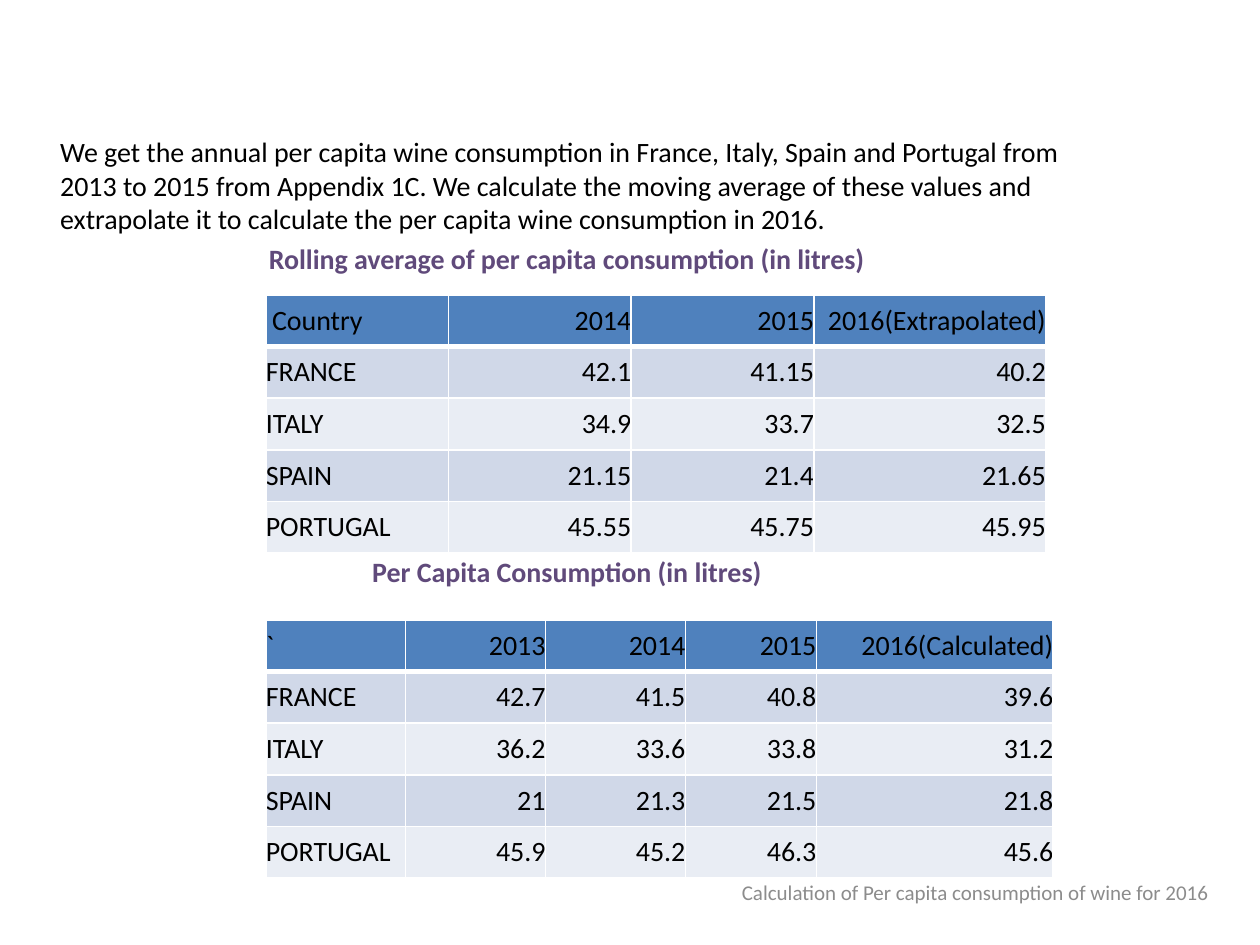
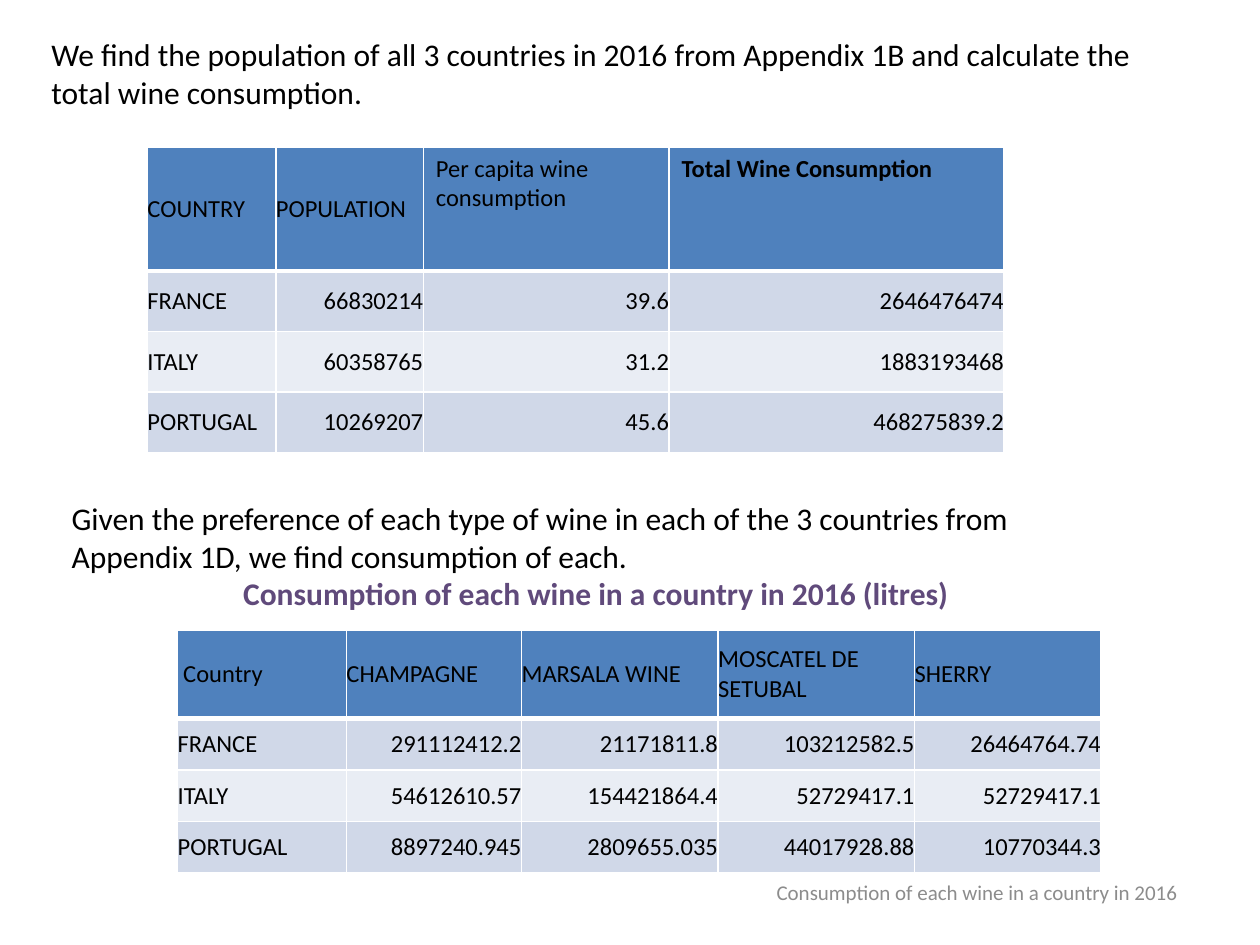
from pptx import Presentation
from pptx import util as u
from pptx.dml.color import RGBColor
from pptx.enum import text as t
from pptx.oxml import parse_xml
from pptx.oxml.ns import nsdecls

BLACK = RGBColor(0x00, 0x00, 0x00)
WHITE = RGBColor(0xFF, 0xFF, 0xFF)
GREY = RGBColor(0x8C, 0x8C, 0x8C)
PURPLE = RGBColor(0x60, 0x4A, 0x7B)
HEADER = RGBColor(0x4F, 0x81, 0xBD)
BANDS = (RGBColor(0xD0, 0xD8, 0xE8), RGBColor(0xE9, 0xED, 0xF4))
NO_INSETS = dict.fromkeys(("margin_left", "margin_top", "margin_right", "margin_bottom"), 0)


def apply(target, values):
    for name, value in values.items():
        setattr(target, name, value)


class Report:
    """Wine consumption report: shared style and the slide being filled."""

    font = "Calibri"

    def __init__(self):
        self.deck = Presentation()
        apply(self.deck, {"slide_width": u.Inches(10), "slide_height": u.Inches(7.5)})
        self.slide = None

    def new_slide(self):
        self.slide = self.deck.slides.add_slide(self.deck.slide_layouts[6])

    def fill_line(self, paragraph, wording, size, color=BLACK, bold=False,
                  align=t.PP_ALIGN.LEFT, before=0):
        apply(paragraph, {"alignment": align, "space_before": u.Pt(before)})
        run = paragraph.add_run()
        run.text = wording
        apply(run.font, {"name": self.font, "size": u.Pt(size), "bold": bold})
        run.font.color.rgb = color

    def box(self, place, **frame_format):
        frame = self.slide.shapes.add_textbox(*map(u.Inches, place)).text_frame
        apply(frame, {"word_wrap": True, **frame_format})
        return frame

    def prose(self, frame, wording, size, before=0, indent=0):
        paragraph = frame.paragraphs[0]
        self.fill_line(paragraph, wording, size, before=before)
        if indent:
            paragraph._p.get_or_add_pPr().set("marL", str(u.Inches(indent)))

    def heading(self, frame, wording, size, before=0):
        self.fill_line(frame.add_paragraph(), wording, size, PURPLE, True,
                       t.PP_ALIGN.CENTER, before)

    def footer(self, wording, left, width):
        frame = self.box((left, 6.88, width, 0.4), vertical_anchor=t.MSO_ANCHOR.MIDDLE)
        self.fill_line(frame.paragraphs[0], wording, 12, GREY, align=t.PP_ALIGN.CENTER)

    def borders(self, cell, **widths):
        properties = cell._tc.get_or_add_tcPr()
        for position, side in enumerate("LRTB"):
            width = u.Pt(widths.get(side, 1))
            properties.insert(position, parse_xml(
                f'<a:ln{side} {nsdecls("a")} w="{width}"><a:solidFill>'
                f'<a:srgbClr val="{WHITE}"/></a:solidFill></a:ln{side}>'))

    def table(self, left, top, columns, heights, rows, size, padded=(), bold=()):
        extent = map(u.Inches, (left, top, sum(columns), sum(heights)))
        grid = self.slide.shapes.add_table(len(rows), len(columns), *extent).table
        for column, width in zip(grid.columns, columns):
            column.width = u.Inches(width)
        for row, height in zip(grid.rows, heights):
            row.height = u.Inches(height)
        for r, row in enumerate(rows):
            for c, wording in enumerate(row):
                cell = grid.cell(r, c)
                if wording not in padded:
                    apply(cell, {**NO_INSETS, "vertical_anchor": t.MSO_ANCHOR.MIDDLE})
                cell.fill.solid()
                cell.fill.fore_color.rgb = BANDS[(r - 1) % 2] if r else HEADER
                self.borders(cell, **({0: {"B": 3}, 1: {"T": 3}}.get(r, {})))
                numeric = wording[0].isdigit()
                self.fill_line(cell.text_frame.paragraphs[0], wording, size,
                               bold=wording in bold,
                               align=t.PP_ALIGN.RIGHT if numeric else t.PP_ALIGN.LEFT)


report = Report()

report.new_slide()
report.footer("Calculation of Per capita consumption of wine for 2016", 5.7, 4.08)
method = report.box((0, 1.02, 9, 5.68))
report.prose(method, "We get the annual per capita wine consumption in France, Italy, Spain "
             "and Portugal from 2013 to 2015 from Appendix 1C. We calculate the moving "
             "average of these values and extrapolate it to calculate the per capita wine "
             "consumption in 2016.", 16, before=3.2, indent=0.38)
report.heading(method, "Rolling average of per capita consumption (in litres)", 16, before=3.2)
report.heading(method, "Per Capita Consumption (in litres)", 16, before=160)
report.table(2.11, 2.34, (1.45, 1.45, 1.45, 1.84), [0.41] * 5, (
    ("\u00a0Country", "2014", "2015", "2016(Extrapolated)"),
    ("FRANCE", "42.1", "41.15", "40.2"),
    ("ITALY", "34.9", "33.7", "32.5"),
    ("SPAIN", "21.15", "21.4", "21.65"),
    ("PORTUGAL", "45.55", "45.75", "45.95")), 16)
report.table(2.11, 4.92, (1.11, 1.11, 1.11, 1.04, 1.88), [0.41] * 5, (
    ("`", "2013", "2014", "2015", "2016(Calculated)"),
    ("FRANCE", "42.7", "41.5", "40.8", "39.6"),
    ("ITALY", "36.2", "33.6", "33.8", "31.2"),
    ("SPAIN", "21", "21.3", "21.5", "21.8"),
    ("PORTUGAL", "45.9", "45.2", "46.3", "45.6")), 16)

report.new_slide()
grow = {"auto_size": t.MSO_AUTO_SIZE.SHAPE_TO_FIT_TEXT}
population = report.box((0.31, 0.23, 9.22, 0.71), **grow)
report.prose(population, "We find the population of all 3 countries in 2016 from Appendix 1B "
             "and calculate the total wine consumption.", 18)
per_capita, total = "Per capita wine consumption", "Total Wine Consumption"
report.table(1.17, 1.17, (1.02, 1.17, 1.95, 2.66), [0.98] + [0.48] * 3, (
    ("COUNTRY", "POPULATION", per_capita, total),
    ("FRANCE", "66830214", "39.6", "2646476474"),
    ("ITALY", "60358765", "31.2", "1883193468"),
    ("PORTUGAL", "10269207", "45.6", "468275839.2")), 14,
    padded=(per_capita, total), bold=(total,))
preference = report.box((0.47, 3.91, 8.52, 1.01), **grow)
report.prose(preference, "Given the preference of each type of wine in each of the 3 countries "
             "from Appendix 1D, we find consumption of each.", 18)
report.heading(preference, "Consumption of each wine in a country in 2016 (litres)", 18)
report.table(1.41, 5, (1.34, 1.39, 1.56, 1.56, 1.48), [0.7] + [0.41] * 3, (
    ("\u00a0Country", "CHAMPAGNE", "MARSALA WINE", "MOSCATEL DE SETUBAL", "SHERRY"),
    ("FRANCE", "291112412.2", "21171811.8", "103212582.5", "26464764.74"),
    ("ITALY", "54612610.57", "154421864.4", "52729417.1", "52729417.1"),
    ("PORTUGAL", "8897240.945", "2809655.035", "44017928.88", "10770344.3")), 14)
report.footer("Consumption of each wine in a country in 2016", 5.86, 3.79)

report.deck.save("out.pptx")
